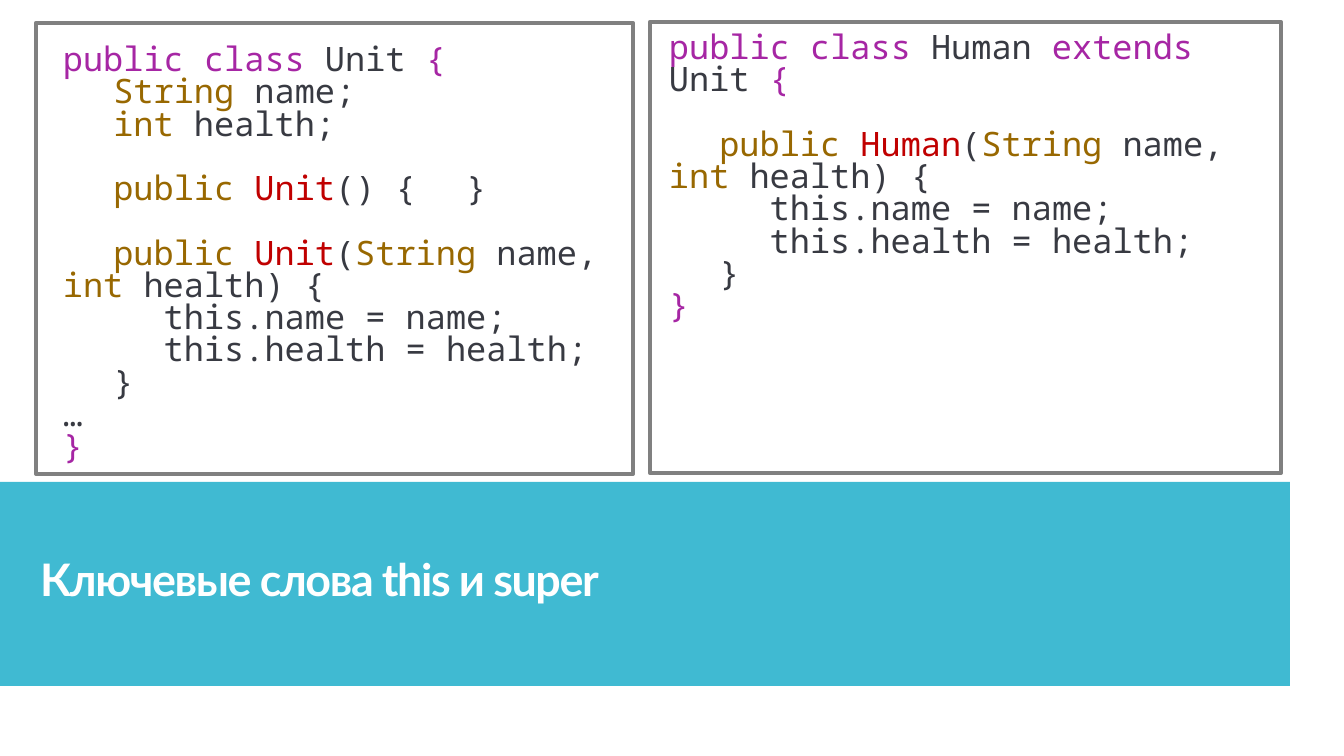
from pptx import Presentation
from pptx.dml.color import RGBColor
from pptx.enum.shapes import MSO_SHAPE as Shape
from pptx.enum.text import MSO_ANCHOR as Anchor, PP_ALIGN as Align
from pptx.util import Pt

PX = 914400 / 100.8
WHITE = RGBColor(0xFF, 0xFF, 0xFF)
TEAL = RGBColor(0x40, 0xBA, 0xD2)
GREY = RGBColor(0x80, 0x80, 0x80)
PURPLE = RGBColor(0xA6, 0x26, 0xA4)
DARK = RGBColor(0x38, 0x3A, 0x42)
BROWN = RGBColor(0x98, 0x68, 0x01)
RED = RGBColor(0xC0, 0x00, 0x00)
CODE_SIZE = Pt(24)
LINE_GAP = Pt(23)


def px(*lengths):
    """Turn pixel lengths into EMU."""
    return [round(length * PX) for length in lengths]


def constructor(name):
    """Return the lines of a constructor that fills both fields."""
    return [
        (True, [("\tpublic ", BROWN), (name, RED), ("(", DARK), ("String", BROWN),
                (" name, ", DARK), ("int", BROWN), (" health) {", DARK)]),
        (False, [("\t\tthis.name = name;", DARK)]),
        (False, [("\t\tthis.health = health;", DARK)]),
        (False, [("\t}", DARK)]),
    ]


# Each line of code: whether a gap precedes it, then its coloured parts
unit_code = [
    (False, [("public class", PURPLE), (" Unit", DARK), (" {", PURPLE)]),
    (False, [("\tString ", BROWN), ("name;", DARK)]),
    (False, [("\tint ", BROWN), ("health;", DARK)]),
    (True, [("\tpublic ", BROWN), ("Unit", RED), ("() {\t}", DARK)]),
    *constructor("Unit"),
    (False, [("…", DARK)]),
    (False, [("}", PURPLE)]),
]
human_code = [
    (False, [("public class", PURPLE), (" Human ", DARK), ("extends ", PURPLE),
             ("Unit ", DARK), ("{", PURPLE)]),
    *constructor("Human"),
    (False, [("}", PURPLE)]),
]

deck = Presentation()
deck.slide_width, deck.slide_height = px(1344, 756)
slide = deck.slides.add_slide(deck.slide_layouts[5])
shapes = slide.shapes

band = shapes.add_shape(Shape.RECTANGLE, *px(0, 482, 1290, 204))
band.shadow.inherit = False
band.fill.solid()
band.fill.fore_color.rgb = TEAL
band.line.fill.background()

# The title stands in front of the band
title = shapes.title
band.element.addnext(title.element)
title.left, title.top, title.width, title.height = px(30, 517, 1126, 142)
heading = title.text_frame
heading.word_wrap = True
heading.vertical_anchor = Anchor.BOTTOM
heading.margin_bottom = px(53)[0]
topic = heading.paragraphs[0]
topic.alignment = Align.LEFT
topic.line_spacing = 0.9
topic.space_after = Pt(6)
topic_run = topic.add_run()
topic_run.text = "Ключевые слова this и super"
topic_run.font.name = "Lato"
topic_run.font.size = Pt(32)
topic_run.font.bold = True
topic_run.font.color.rgb = WHITE
topic_run.font._element.set("spc", "-100")

panels = [
    ((36, 23, 597, 451), (53, 41, 619, 402), unit_code),
    ((650, 22, 631, 451), (659, 29, 632, 239), human_code),
]
for frame_box, code_box, code in panels:
    frame = shapes.add_shape(Shape.RECTANGLE, *px(*frame_box))
    frame.shadow.inherit = False
    frame.fill.background()
    frame.line.color.rgb = GREY
    frame.line.width = Pt(3)

    listing = shapes.add_textbox(*px(*code_box)).text_frame
    listing.word_wrap = True
    for number, (gap_before, parts) in enumerate(code):
        line = listing.add_paragraph() if number else listing.paragraphs[0]
        line.line_spacing = 0.8
        if gap_before:
            line.space_before = LINE_GAP
        for text, color in parts:
            part = line.add_run()
            part.text = text
            part.font.name = "Noto Sans Mono"
            part.font.size = CODE_SIZE
            part.font.color.rgb = color

deck.save("out.pptx")
